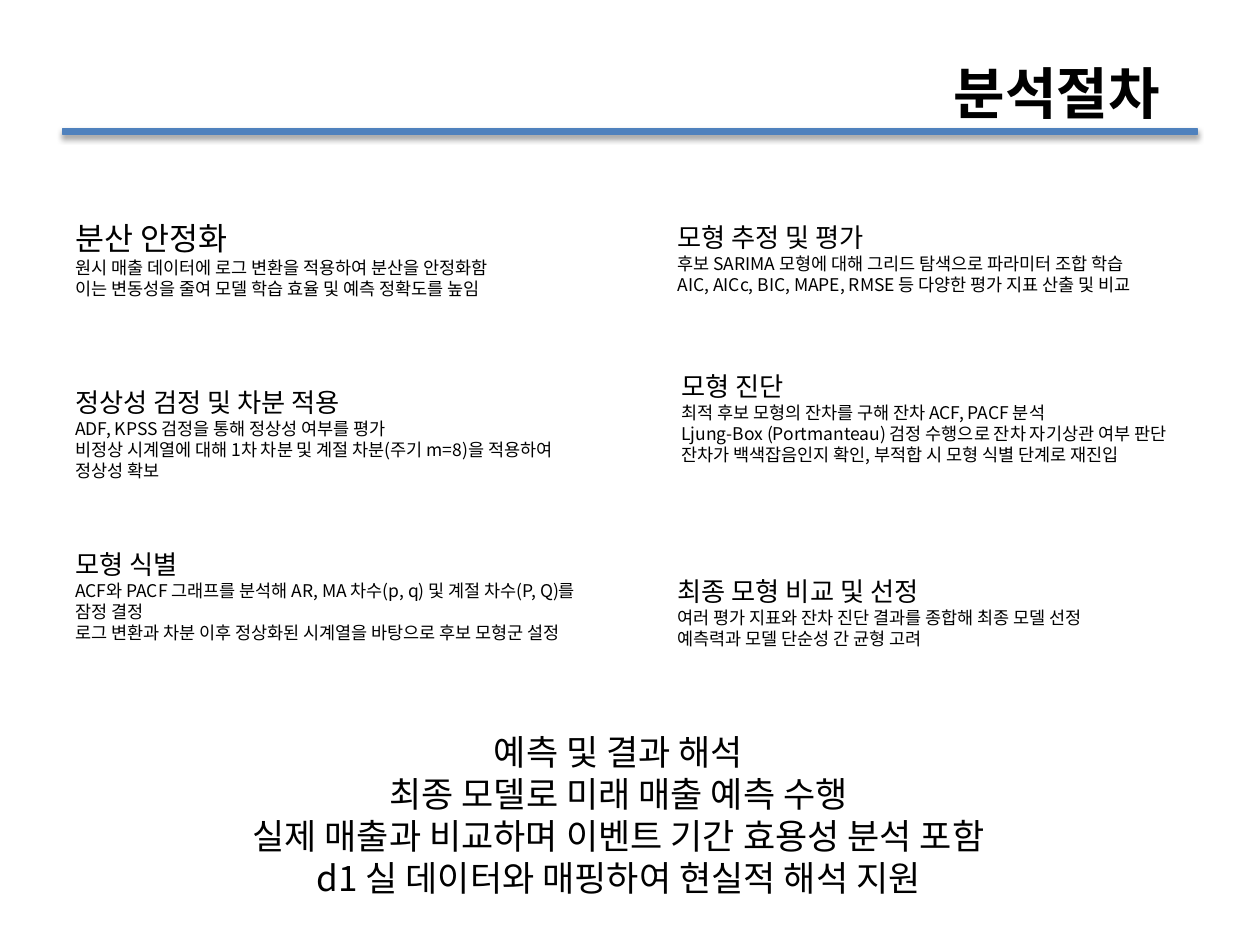
from lxml.etree import SubElement
from pptx import Presentation
from pptx.dml.color import RGBColor
from pptx.enum.shapes import MSO_SHAPE
from pptx.enum.text import MSO_ANCHOR, MSO_AUTO_SIZE, PP_ALIGN
from pptx.oxml import parse_xml
from pptx.oxml.ns import nsdecls, qn
from pptx.util import Inches, Pt

BLACK = RGBColor(0x00, 0x00, 0x00)
WHITE = RGBColor(0xFF, 0xFF, 0xFF)
BLUE = RGBColor(0x4F, 0x81, 0xBD)

BODY_FONT = "Noto Sans CJK KR"
TITLE_FORMAT = {"name": "Calibri", "size": Pt(32), "bold": True}
CLOSING_FORMAT = {"name": BODY_FONT, "size": Pt(20)}
DETAIL_FORMAT = {"name": BODY_FONT, "size": Pt(10)}

# Left edges of the two columns
LEFT, RIGHT = 0.5, 5.28

# Each step: left, top, width, heading size, heading, details
STEPS = [
    (LEFT, 1.69, 4.4, 18, "분산 안정화",
     ["원시 매출 데이터에 로그 변환을 적용하여 분산을 안정화함",
      "이는 변동성을 줄여 모델 학습 효율 및 예측 정확도를 높임"]),
    (LEFT, 3.02, 4.26, 15, "정상성 검정 및 차분 적용",
     ["ADF, KPSS 검정을 통해 정상성 여부를 평가",
      "비정상 시계열에 대해 1차 차분 및 계절 차분(주기 m=8)을 적용하여 정상성 확보"]),
    (LEFT, 4.3, 4.18, 15, "모형 식별",
     ["ACF와 PACF 그래프를 분석해 AR, MA 차수(p, q) 및 계절 차수(P, Q)를 잠정 결정",
      "로그 변환과 차분 이후 정상화된 시계열을 바탕으로 후보 모형군 설정"]),
    (RIGHT, 1.71, 4.4, 15, "모형 추정 및 평가",
     ["후보 SARIMA 모형에 대해 그리드 탐색으로 파라미터 조합 학습",
      "AIC, AICc, BIC, MAPE, RMSE 등 다양한 평가 지표 산출 및 비교"]),
    (RIGHT + 0.03, 2.89, 4.39, 15, "모형 진단",
     ["최적 후보 모형의 잔차를 구해 잔차 ACF, PACF 분석",
      "Ljung-Box (Portmanteau) 검정 수행으로 잔차 자기상관 여부 판단",
      "잔차가 백색잡음인지 확인, 부적합 시 모형 식별 단계로 재진입"]),
    (RIGHT, 4.52, 4.18, 15, "최종 모형 비교 및 선정",
     ["여러 평가 지표와 잔차 진단 결과를 종합해 최종 모델 선정",
      "예측력과 모델 단순성 간 균형 고려"]),
]

CLOSING = [
    "예측 및 결과 해석",
    "최종 모델로 미래 매출 예측 수행",
    "실제 매출과 비교하며 이벤트 기간 효용성 분석 포함",
    "d1 실 데이터와 매핑하여 현실적 해석 지원",
]


def place(sp, left, top, width, height):
    box = {"left": left, "top": top, "width": width, "height": height}
    for name, value in box.items():
        setattr(sp, name, Inches(value))


def write_lines(tf, lines, align=PP_ALIGN.LEFT):
    """Fill a text frame with (text, format) pairs, one a paragraph."""
    for i, (text, fmt) in enumerate(lines):
        p = tf.paragraphs[0] if i == 0 else tf.add_paragraph()
        p.alignment = align
        p.space_before = Pt(0)
        r = p.add_run()
        r.text = text
        r.font.color.rgb = BLACK
        for name, value in fmt.items():
            setattr(r.font, name, value)


def add_title(s, text):
    sp = s.shapes.title
    place(sp, 7.47, 0.42, 2.03, 0.62)
    sp.fill.solid()
    sp.fill.fore_color.rgb = WHITE
    tf = sp.text_frame
    tf.word_wrap = False
    tf.auto_size = MSO_AUTO_SIZE.NONE
    tf.vertical_anchor = MSO_ANCHOR.MIDDLE
    write_lines(tf, [(text, TITLE_FORMAT)])


def add_rule(s):
    sp = s.shapes.add_shape(MSO_SHAPE.RECTANGLE, Inches(0.5), Inches(1.02),
                            Inches(9), Inches(0.05))
    sp.fill.solid()
    sp.fill.fore_color.rgb = BLUE
    sp.line.color.rgb = BLUE
    sp.line.width = Pt(0.75)
    # Soft shadow straight below
    sp._element.spPr.append(parse_xml(
        f'<a:effectLst {nsdecls("a")}>'
        '<a:outerShdw blurRad="40000" dist="23000" dir="5400000" rotWithShape="0">'
        '<a:srgbClr val="000000"><a:alpha val="35000"/></a:srgbClr>'
        '</a:outerShdw></a:effectLst>'))


def add_step(s, left, top, width, size, heading, details):
    height = 0.35 + 0.17 * len(details)
    sp = s.shapes.add_textbox(Inches(left), Inches(top), Inches(width), Inches(height))
    sp.text_frame.word_wrap = True
    lines = [(heading, {"name": BODY_FONT, "size": Pt(size)})]
    lines += [(text, DETAIL_FORMAT) for text in details]
    write_lines(sp.text_frame, lines)


def add_closing(s, texts):
    sp = s.placeholders[1]
    place(sp, 0.64, 5.75, 8.54, 1.45)
    tf = sp.text_frame
    tf.word_wrap = True
    tf.auto_size = MSO_AUTO_SIZE.NONE
    write_lines(tf, [(text, CLOSING_FORMAT) for text in texts], PP_ALIGN.CENTER)
    # Plain lines: no bullet and no hanging indent
    for p in tf.paragraphs:
        pPr = p._p.get_or_add_pPr()
        pPr.set("marL", "0")
        pPr.set("indent", "0")
        SubElement(pPr, qn("a:buNone"))


def main():
    prs = Presentation()
    prs.slide_width, prs.slide_height = Inches(10), Inches(7.5)
    s = prs.slides.add_slide(prs.slide_layouts[1])

    # Header
    add_title(s, "분석절차")
    add_rule(s)

    # Six steps in two columns
    for step in STEPS:
        add_step(s, *step)

    # Closing lines
    add_closing(s, CLOSING)
    prs.save("out.pptx")


if __name__ == "__main__":
    main()
